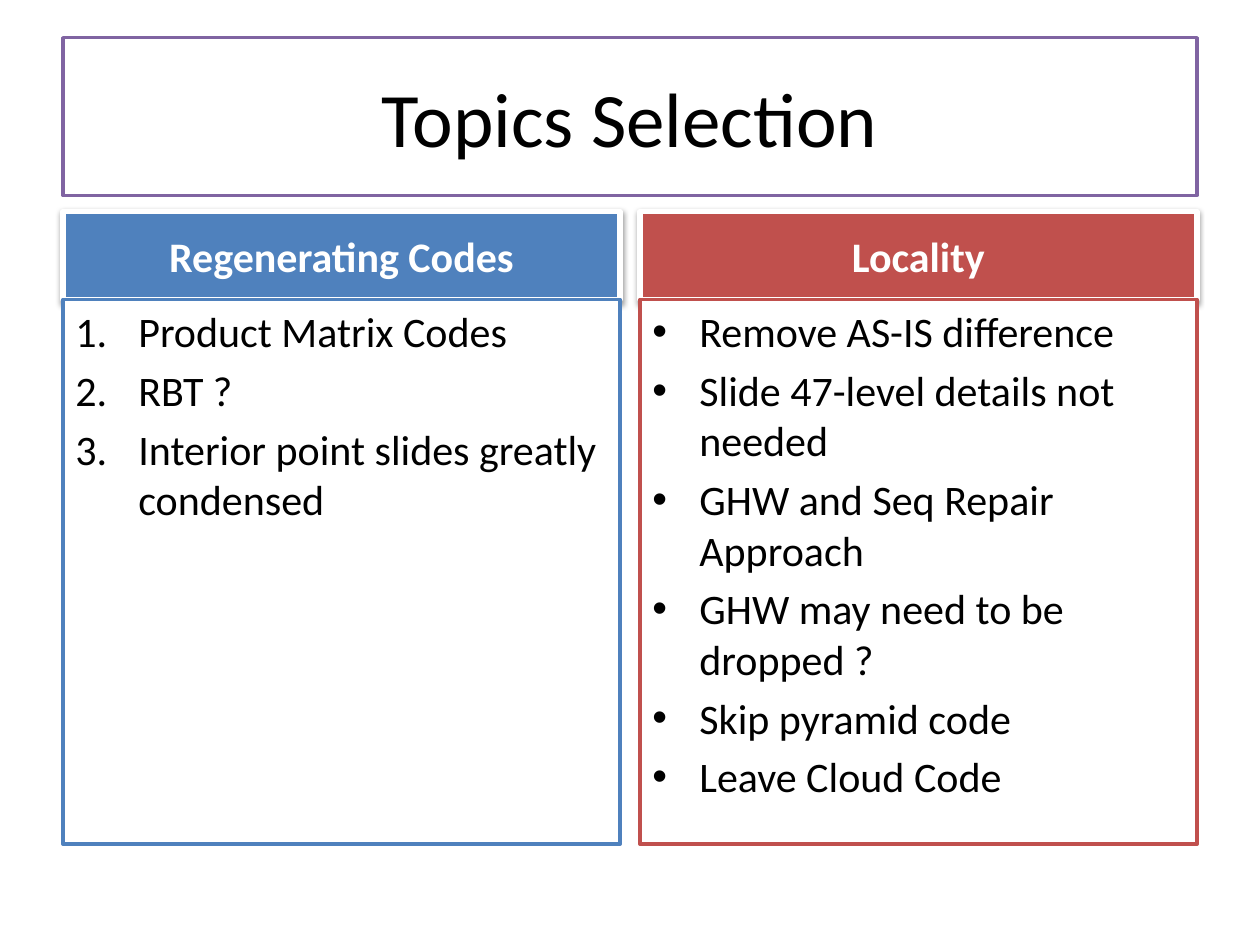
import pptx
import pptx.dml.color
import pptx.enum.shapes
import pptx.enum.text
import pptx.oxml
import pptx.oxml.ns
import pptx.util
from pptx.util import Cm, Pt

NS = pptx.oxml.ns.nsdecls("a")
ALIGN = pptx.enum.text.PP_ALIGN
ANCHOR = pptx.enum.text.MSO_ANCHOR


def rgb(value):
    """Return the colour for a hex string."""
    return pptx.dml.color.RGBColor.from_string(value)


def add_box(box, fill, line, width, lines, size, color="000000", bold=False,
            align=ALIGN.CENTER, anchor=ANCHOR.MIDDLE, before=0):
    """Add an outlined rectangle, one paragraph per line of text."""
    sp = slide.shapes.add_shape(pptx.enum.shapes.MSO_SHAPE.RECTANGLE,
                                *[Cm(v) for v in box])
    sp.shadow.inherit = False
    sp.fill.solid()
    sp.fill.fore_color.rgb = rgb(fill)
    sp.line.color.rgb = rgb(line)
    sp.line.width = Pt(width)
    tf = sp.text_frame
    tf.word_wrap = True
    tf.vertical_anchor = anchor
    tf.text = "\n".join(lines)
    for p in tf.paragraphs:
        p.alignment = align
        p.space_before = Pt(before)
        p.font.name = "Calibri"
        p.font.size = Pt(size)
        p.font.bold = bold
        p.font.color.rgb = rgb(color)
    return sp


prs = pptx.Presentation()
prs.slide_width, prs.slide_height = Cm(25.4), Cm(19.05)
slide = prs.slides.add_slide(prs.slide_layouts[6])

margin, content_width = 1.27, 22.86
column_width = 11.23
head_top, head_height, body_height = 4.26, 1.78, 10.98

add_box((margin, 0.76, content_width, 3.18), "FFFFFF", "8064A2", 2,
        ["Topics Selection"], 44)

numbered = '<a:buFont %s typeface="+mj-lt"/>', '<a:buAutoNum %s type="arabicPeriod"/>'
bulleted = '<a:buFont %s typeface="Arial"/>', '<a:buChar %s char="•"/>'
columns = [
    ("Regenerating Codes", "4F81BD", numbered, 1.27,
     ["Product Matrix Codes", "RBT ?",
      "Interior point slides greatly condensed"]),
    ("Locality", "C0504D", bulleted, 0.95,
     ["Remove AS-IS difference", "Slide 47-level details not needed",
      "GHW and Seq Repair Approach", "GHW may need to be dropped ?",
      "Skip pyramid code", "Leave Cloud Code"]),
]

for i, (heading, color, bullet, indent, items) in enumerate(columns):
    left = margin + i * (content_width - column_width)

    head = add_box((left, head_top, column_width, head_height), color, "FFFFFF", 3,
                   [heading], 24, "FFFFFF", True, before=4.8)
    effects = head._element.spPr.find(pptx.oxml.ns.qn("a:effectLst"))
    effects.append(pptx.oxml.parse_xml(
        f'<a:outerShdw {NS} blurRad="{Pt(3.1)}" dist="{Pt(1.6)}" dir="5400000" '
        'rotWithShape="0"><a:srgbClr val="000000"><a:alpha val="38000"/>'
        '</a:srgbClr></a:outerShdw>'))

    body = add_box((left, head_top + head_height, column_width, body_height),
                   "FFFFFF", color, 2, items, 24, align=ALIGN.LEFT,
                   anchor=ANCHOR.TOP, before=4.8)
    for p in body.text_frame.paragraphs:
        pPr = p._p.get_or_add_pPr()
        pPr.set("marL", str(Cm(indent)))
        pPr.set("indent", str(-Cm(indent)))
        defaults = pPr.find(pptx.oxml.ns.qn("a:defRPr"))
        for xml in bullet:
            defaults.addprevious(pptx.oxml.parse_xml(xml % NS))

prs.save("out.pptx")
